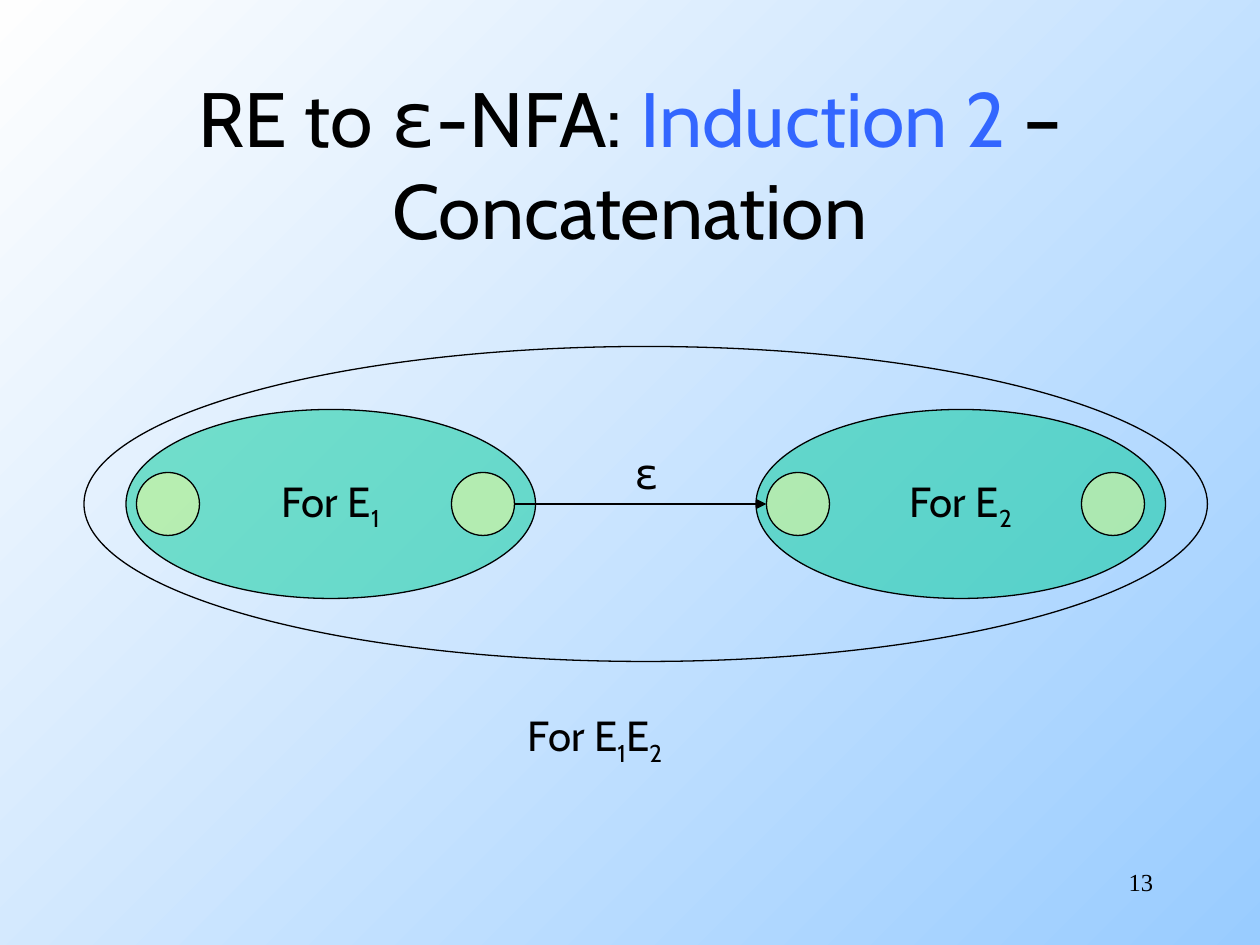
from pptx import Presentation
from pptx.dml.color import RGBColor
from pptx.enum.shapes import MSO_CONNECTOR, MSO_SHAPE
from pptx.enum.text import MSO_ANCHOR, MSO_AUTO_SIZE, PP_ALIGN
from pptx.oxml.ns import qn
from pptx.util import Inches, Pt
from lxml.etree import SubElement

THEME = {
    "ink": RGBColor.from_string("000000"),
    "accent": RGBColor.from_string("3366FF"),
    "automaton": RGBColor.from_string("00CC99"),
    "state": RGBColor.from_string("FFFF99"),
    "corner_dark": RGBColor.from_string("99CCFF"),
    "corner_light": RGBColor.from_string("FEFEFE"),
    "body": "Cabin", "greek": "DejaVu Sans Mono", "number": "Times New Roman",
    "title_size": Pt(44), "label_size": Pt(24), "number_size": Pt(14),
    "line": Pt(0.75),
}
INK = {"name": THEME["body"], "color": THEME["ink"]}
GREEK = INK | {"name": THEME["greek"]}
ACCENT = INK | {"color": THEME["accent"]}
SUB = INK | {"baseline": "-25000"}

deck = Presentation()
deck.slide_width, deck.slide_height = Inches(10), Inches(7.5)
UNIT = deck.slide_width / 120  # the grid has 120 columns and 90 rows


def write(shape, runs, size, align=PP_ALIGN.LEFT, **frame_format):
    """Fill a shape with one paragraph of (text, format) runs."""
    frame = shape.text_frame
    for key, value in frame_format.items():
        setattr(frame, key, value)
    paragraph = frame.paragraphs[0]
    paragraph.alignment = align
    for text, look in runs:
        run = paragraph.add_run()
        run.text = text
        for key, value in {"name": look["name"], "size": size}.items():
            setattr(run.font, key, value)
        run.font.color.rgb = look["color"]
        if "baseline" in look:
            run.font._element.set("baseline", look["baseline"])


def add_oval(left, top, width, height, color=None):
    """Draw an outlined oval in grid units, half transparent if filled."""
    oval = slide.shapes.add_shape(
        MSO_SHAPE.OVAL, *(round(n * UNIT) for n in (left, top, width, height)))
    oval.shadow.inherit = False
    oval.line.color.rgb, oval.line.width = THEME["ink"], THEME["line"]
    if color is None:
        oval.fill.background()
    else:
        oval.fill.solid()
        oval.fill.fore_color.rgb = color
        tint = oval._element.spPr.find(qn("a:solidFill"))[0]
        SubElement(tint, qn("a:alpha")).set("val", "50000")
    return oval


# Background: light top left, dark bottom right
slide = deck.slides.add_slide(deck.slide_layouts[5])
background = slide.background.fill
background.gradient()
background.gradient_angle = 135
for stop, corner in zip(background.gradient_stops, ("corner_dark", "corner_light")):
    stop.color.rgb = THEME[corner]

# Title
title = slide.shapes.title
title_place = {"left": 0, "top": 8, "width": 120, "height": 15}
for side, units in title_place.items():
    setattr(title, side, round(units * UNIT))
write(title, [("RE to ", INK), ("ε", GREEK), ("-NFA: ", INK),
              ("Induction 2", ACCENT), (" – Concatenation", INK)],
      THEME["title_size"], PP_ALIGN.CENTER, word_wrap=True,
      vertical_anchor=MSO_ANCHOR.MIDDLE, auto_size=MSO_AUTO_SIZE.NONE)

# The two automata, each with a start and a final state
STATE, AXIS = 6, 48
for left, index in ((12, "1"), (72, "2")):
    automaton = add_oval(left, AXIS - 9, 39, 18, THEME["automaton"])
    write(automaton, [("For E", INK), (index, SUB)], THEME["label_size"],
          PP_ALIGN.CENTER, word_wrap=False, vertical_anchor=MSO_ANCHOR.MIDDLE)
    for offset in (1, 31):
        add_oval(left + offset, AXIS - STATE / 2, STATE, STATE, THEME["state"])

# Combined automaton
add_oval(8, AXIS - 15, 107, 30)

# ε-transition from the first final state to the second start state
transition = slide.shapes.add_connector(
    MSO_CONNECTOR.STRAIGHT, *(round(n * UNIT) for n in (49, AXIS, 73, AXIS)))
transition.line.color.rgb, transition.line.width = THEME["ink"], THEME["line"]
SubElement(transition.line._get_or_add_ln(), qn("a:tailEnd")).set("type", "triangle")
SubElement(transition._element.spPr, qn("a:effectLst"))

# Free labels and slide number
FIT = {"word_wrap": False, "auto_size": MSO_AUTO_SIZE.SHAPE_TO_FIT_TEXT}
labels = (
    ((49.1, 67, 16.7, 6.7), [("For E", INK), ("1", SUB), ("E", INK), ("2", SUB)],
     THEME["label_size"], PP_ALIGN.LEFT, FIT),
    ((59.2, 42, 4.3, 6), [("ε", GREEK)], THEME["label_size"], PP_ALIGN.LEFT, FIT),
    ((86, 82, 25, 6), [("13", INK | {"name": THEME["number"]})],
     THEME["number_size"], PP_ALIGN.RIGHT, {"word_wrap": True}),
)
for place, runs, size, align, frame_format in labels:
    label = slide.shapes.add_textbox(*(round(n * UNIT) for n in place))
    write(label, runs, size, align, **frame_format)

deck.save("out.pptx")
